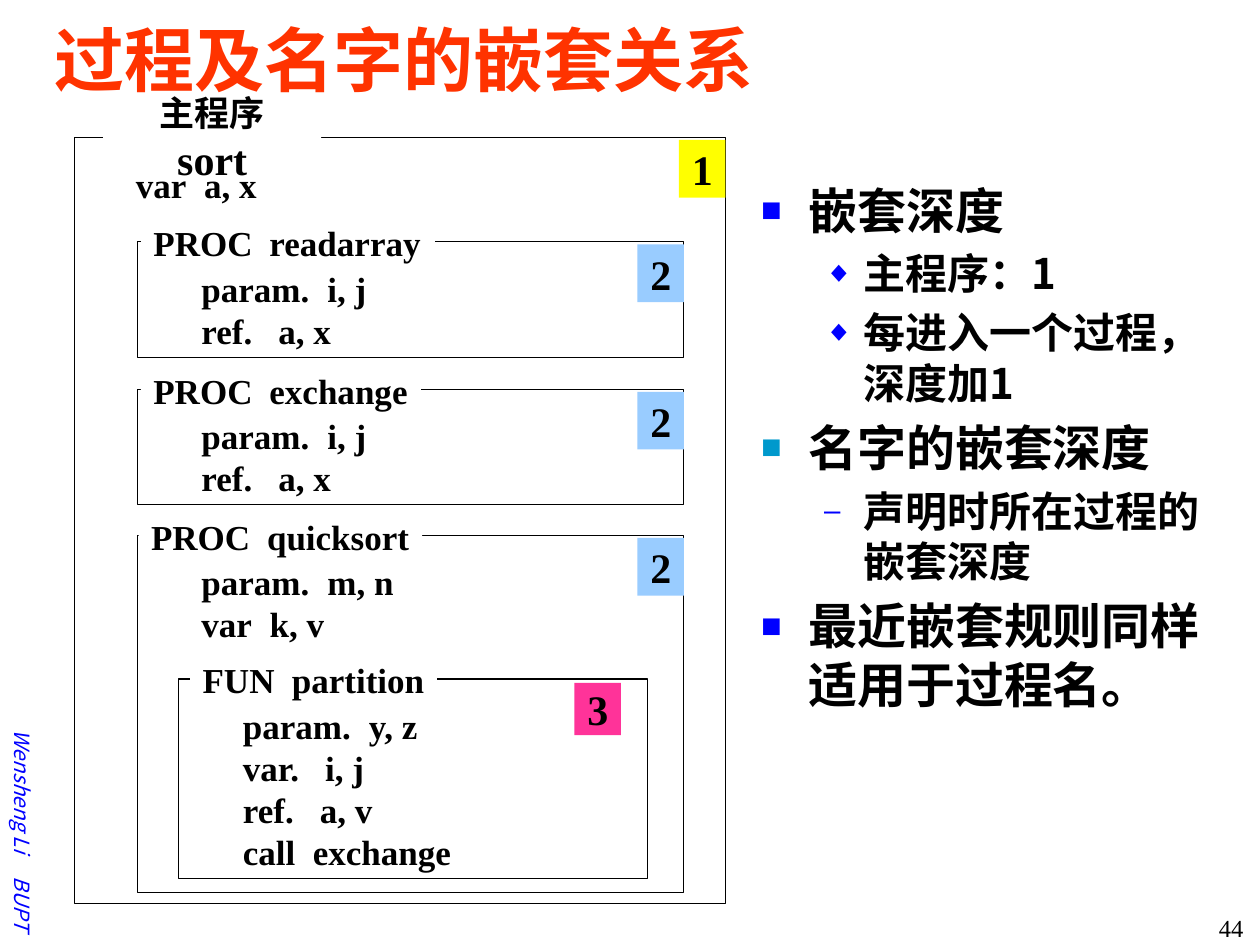
from lxml import etree
from pptx import Presentation
from pptx import util as u
from pptx.dml.color import RGBColor
from pptx.enum import shapes, text
from pptx.oxml.ns import qn

Pt = u.Pt
SANS, SERIF = "Noto Sans CJK SC", "Times New Roman"
LEFT, MID, RIGHT = text.PP_ALIGN.LEFT, text.PP_ALIGN.CENTER, text.PP_ALIGN.RIGHT
# Tab stop that follows each keyword
STOPS = {"PROC": 66.3, "FUN": 51, "param.": 72, "ref.": 44, "var": 39,
         "var.": 47, "call": 40, "Wensheng Li": 84}


def style(par, words, size, face=SERIF, color="000000", bold=True, align=LEFT):
    """Write one paragraph, with a tab stop if it needs one."""
    par.text = words
    par.alignment = align
    if "\t" in words:
        tabs = etree.SubElement(par._p.get_or_add_pPr(), qn("a:tabLst"))
        stop = Pt(STOPS[words.split("\t")[0]])
        etree.SubElement(tabs, qn("a:tab"), pos=str(int(stop)), algn="l")
    font = par.font
    font.size, font.bold, font.name = Pt(size), bold, face
    font.color.rgb = RGBColor.from_string(color)
    east = etree.SubElement(par._p.pPr.find(qn("a:defRPr")), qn("a:ea"))
    east.set("typeface", SANS)


def block(box, lines=(), fill=None, line=None, size=20, **look):
    """Add a rectangle with an optional fill, outline and lines of text."""
    rect = slide.shapes.add_shape(shapes.MSO_SHAPE.RECTANGLE, *map(Pt, box))
    rect.shadow.inherit = False
    if fill:
        rect.fill.solid()
        rect.fill.fore_color.rgb = RGBColor.from_string(fill)
    else:
        rect.fill.background()
    if line:
        rect.line.color.rgb = RGBColor.from_string(line)
        rect.line.width = Pt(0.75)
    else:
        rect.line.fill.background()
    frame = rect.text_frame
    frame.word_wrap = True
    frame.vertical_anchor = text.MSO_ANCHOR.MIDDLE
    centred = look.get("align", LEFT) == MID
    frame.margin_left = Pt(0 if centred else 7.2)
    frame.margin_right = Pt(0)
    for i, words in enumerate(lines):
        par = frame.add_paragraph() if i else frame.paragraphs[0]
        style(par, words, size, **look)
    return rect


deck = Presentation()
deck.slide_width, deck.slide_height = Pt(720), Pt(540)
slide = deck.slides.add_slide(deck.slide_layouts[1])

# Title
title, body = slide.placeholders
title.left, title.top, title.width, title.height = map(Pt, (23.8, 12.2, 678, 42))
frame = title.text_frame
frame.auto_size = text.MSO_AUTO_SIZE.NONE
frame.vertical_anchor = text.MSO_ANCHOR.MIDDLE
style(frame.paragraphs[0], "过程及名字的嵌套关系", 40, SANS, "FF3300")

# List of nesting rules: level, bullet, bullet colour, text
rules = [
    (0, "■", "0000FF", "嵌套深度"),
    (1, "◆", "0000FF", "主程序：1"),
    (1, "◆", "0000FF", "每进入一个过程，深度加1"),
    (0, "■", "0099CC", "名字的嵌套深度"),
    (1, "–", "0000FF", "声明时所在过程的嵌套深度"),
    (0, "■", "0000FF", "最近嵌套规则同样适用于过程名。"),
]
body.left, body.top, body.width, body.height = map(Pt, (427.7, 96.5, 267, 322.5))
frame = body.text_frame
frame.auto_size = text.MSO_AUTO_SIZE.NONE
frame.margin_top = Pt(6.5)
for i, (level, mark, color, words) in enumerate(rules):
    par = frame.add_paragraph() if i else frame.paragraphs[0]
    size, pitch, left, hang = ((28, 33.5, 27, 27), (24, 29, 58.5, 22.5))[level]
    par.level = level
    prop = par._p.get_or_add_pPr()
    prop.set("marL", str(int(Pt(left))))
    prop.set("indent", str(-int(Pt(hang))))
    tint = etree.SubElement(prop, qn("a:buClr"))
    etree.SubElement(tint, qn("a:srgbClr"), val=color)
    etree.SubElement(prop, qn("a:buSzPct"), val="70000")
    etree.SubElement(prop, qn("a:buChar"), char=mark)
    style(par, words, size, SANS)
    par.line_spacing = Pt(pitch)
    par.space_before = Pt(size * 0.2 if i else 0)

# Main program
block((42.5, 78.5, 372, 438), line="000000")
main = block((59, 60.5, 124.6, 36), ["主程序", "sort"], "FFFFFF", align=MID)
main.text_frame.paragraphs[1].font.size = Pt(24)
block((70.6, 90, 83.5, 31), ["var\ta, x"])

# Nested scopes: frame, label shift and width, label, names
scopes = [
    ((78.5, 138.2, 312, 66), 2.1, 168, "PROC\treadarray",
     ["param.\ti, j", "ref.\ta, x"]),
    ((78.5, 222.5, 312, 66), 2.1, 160, "PROC\texchange",
     ["param.\ti, j", "ref.\ta, x"]),
    ((78.5, 306, 312, 204), 0.7, 162, "PROC\tquicksort",
     ["param.\tm, n", "var\tk, v"]),
    ((102.2, 388, 268, 114), 6.5, 141, "FUN\tpartition",
     ["param.\ty, z", "var.\ti, j", "ref.\ta, v", "call\texchange"]),
]
for box, shift, wide, label, names in scopes:
    x, y = box[:2]
    block(box, line="000000")
    block((x + shift, y - 15, wide, 31), [label], "FFFFFF")
    block((x + 29.5, y + 10.5, 137, 8 + 24 * len(names)), names)

# Depth badges
badges = [("1", 388, 80, 33, "FFFF00"), ("2", 364.3, 139.7, 33, "99CCFF"),
          ("2", 364.3, 223.9, 33, "99CCFF"), ("2", 364.3, 307.4, 33, "99CCFF"),
          ("3", 328.3, 390.2, 30, "FF3399")]
for depth, x, y, high, color in badges:
    block((x, y, 26.6, high), [depth], color, size=24, align=MID)

# Author mark and slide number
mark = block((-82, 432, 190, 21.6), ["Wensheng Li\tBUPT"], size=12, face=SANS,
             color="0000FF", bold=False)
mark.rotation = 90
mark.text_frame.margin_left = Pt(69)
mark.text_frame.paragraphs[0].font.italic = True
page = block((658, 518.4, 52.6, 32), ["44"], size=14, bold=False, align=RIGHT)
page.text_frame.vertical_anchor = text.MSO_ANCHOR.TOP
page.height = Pt(21.6)

deck.save("out.pptx")
